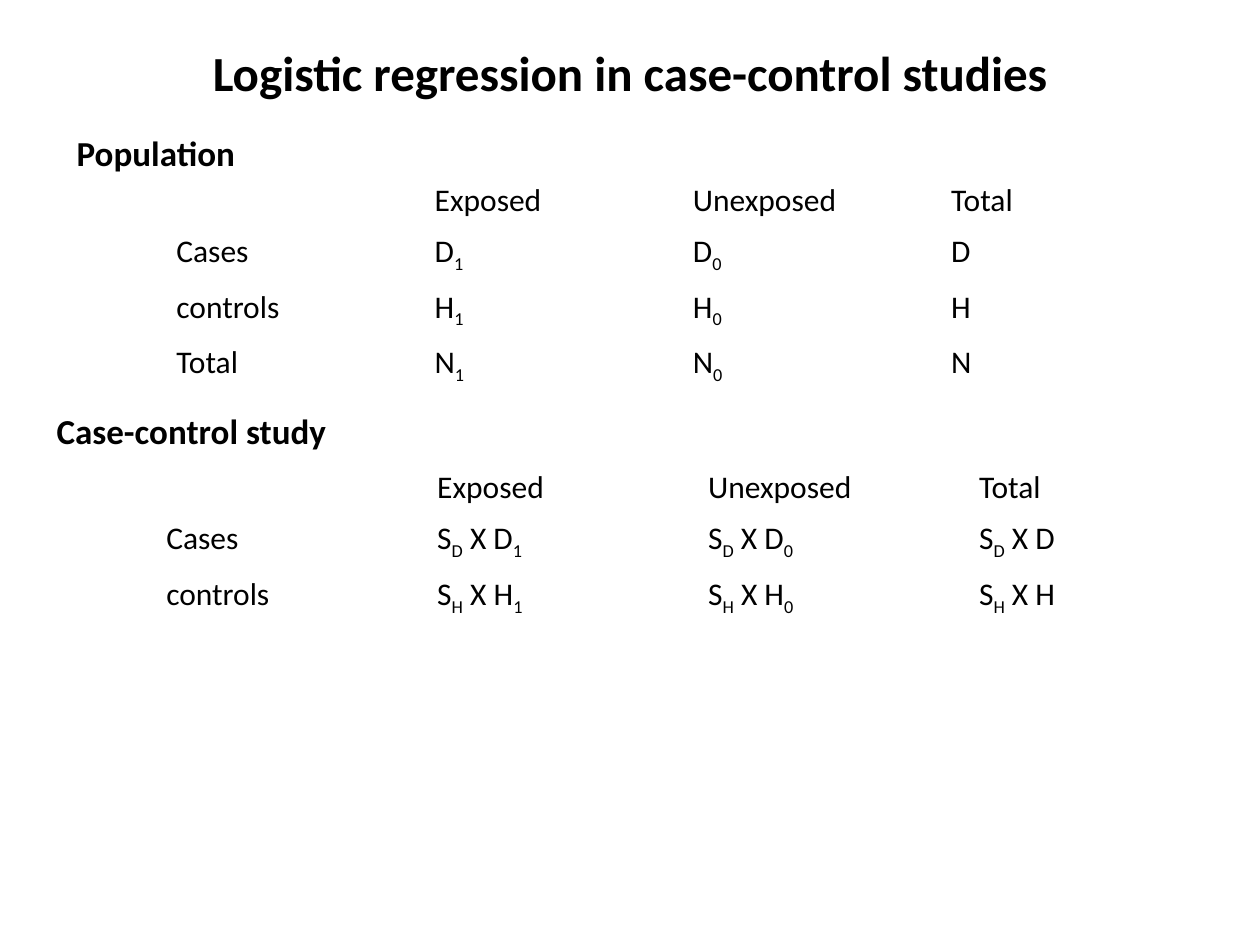
from pptx import Presentation
from pptx.dml.color import RGBColor
from pptx.enum.text import MSO_ANCHOR, PP_ALIGN
from pptx.util import Inches, Pt

presentation = Presentation()
presentation.slide_width, presentation.slide_height = Inches(10), Inches(7.5)
slide = presentation.slides.add_slide(presentation.slide_layouts[6])


def style(paragraph, size, bold=False, color="000000"):
    font = paragraph.font
    font.name, font.size, font.bold = "Calibri", Pt(size), bold
    font.color.rgb = RGBColor.from_string(color)


def add_marked_text(paragraph, text):
    """Write text in which the letter after each underscore is a subscript."""
    first, *pieces = text.split("_")
    runs = [(first, False)]
    for piece in pieces:
        runs += [(piece[0], True), (piece[1:], False)]
    for words, subscript in runs:
        if words:
            run = paragraph.add_run()
            run.text = words
            if subscript:
                run.font._element.set("baseline", "-25000")


# Title and section headings
headings = [
    ("Logistic regression in case-control studies", 0.5, 0.3, 9, 0.54, 28, PP_ALIGN.CENTER),
    ("Population", 0.51, 0.99, 2.28, 0.44, 20, PP_ALIGN.LEFT),
    ("Case-control study", 0.35, 3.2, 2.68, 0.44, 20, PP_ALIGN.LEFT),
]
for text, left, top, width, height, size, alignment in headings:
    box = slide.shapes.add_textbox(Inches(left), Inches(top), Inches(width), Inches(height))
    frame = box.text_frame
    frame.word_wrap = True
    frame.vertical_anchor = MSO_ANCHOR.MIDDLE
    paragraph = frame.paragraphs[0]
    paragraph.text, paragraph.alignment = text, alignment
    style(paragraph, size, bold=True)

# Exposure tables: left, top, column width, rows
header = ["", "Exposed", "Unexposed", "Total"]
population = [header] + [
    [label, f"{letter}_1", f"{letter}_0", letter]
    for label, letter in [("Cases", "D"), ("controls", "H"), ("Total", "N")]
]
study = [header] + [
    [label] + [f"S_{letter} X {letter}{index}" for index in ("_1", "_0", "")]
    for label, letter in [("Cases", "D"), ("controls", "H")]
]
row_height = 0.405
for left, top, column_width, rows in [(1.3, 1.39, 2.05, population), (1.22, 3.67, 2.15, study)]:
    table = slide.shapes.add_table(
        len(rows), len(header), Inches(left), Inches(top),
        Inches(column_width * len(header)), Inches(row_height * len(rows)),
    ).table
    table.first_row = table.horz_banding = False
    for row_index, row in enumerate(rows):
        for column_index, text in enumerate(row):
            cell = table.cell(row_index, column_index)
            cell.fill.background()
            paragraph = cell.text_frame.paragraphs[0]
            add_marked_text(paragraph, text)
            style(paragraph, 18)

presentation.save("out.pptx")
